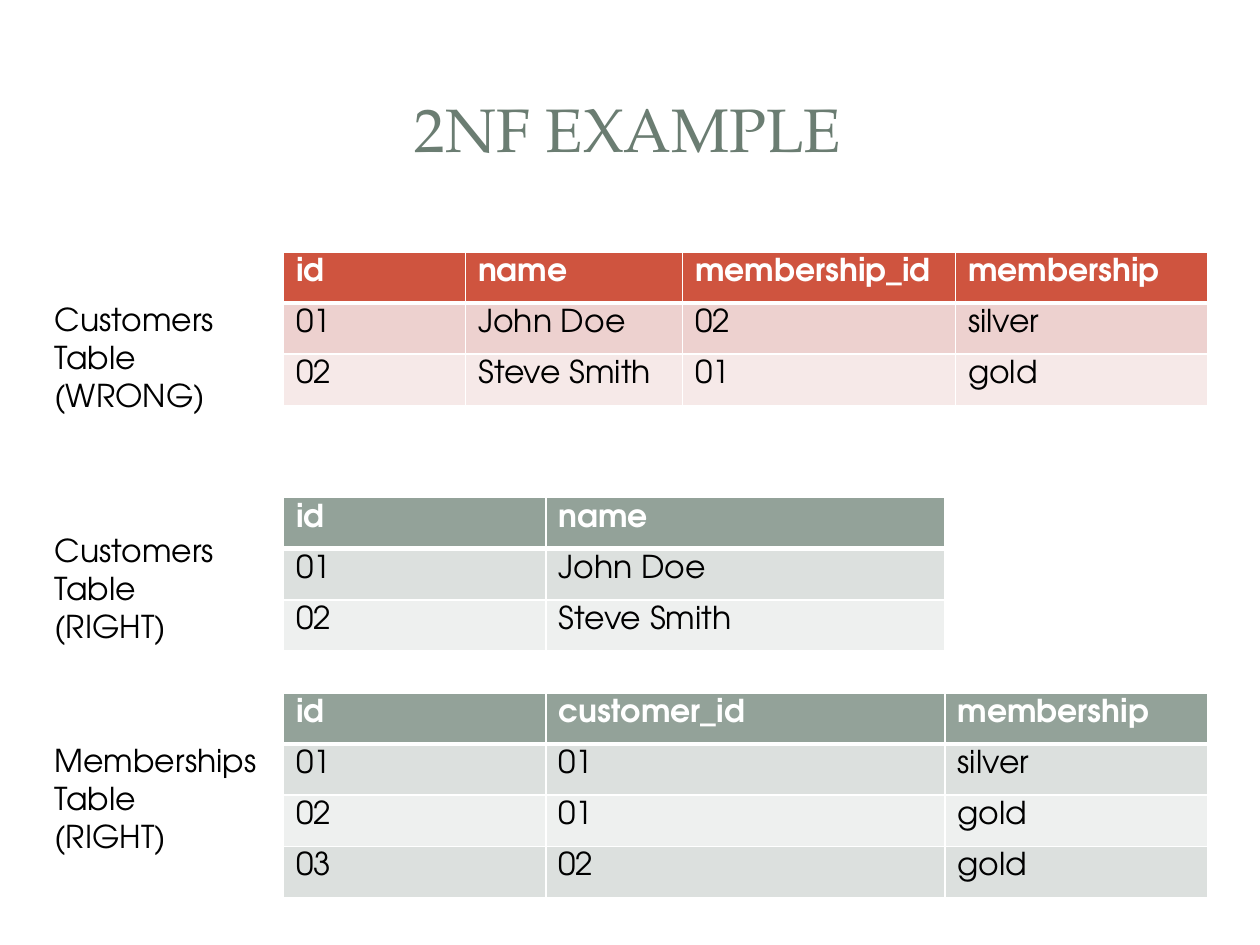
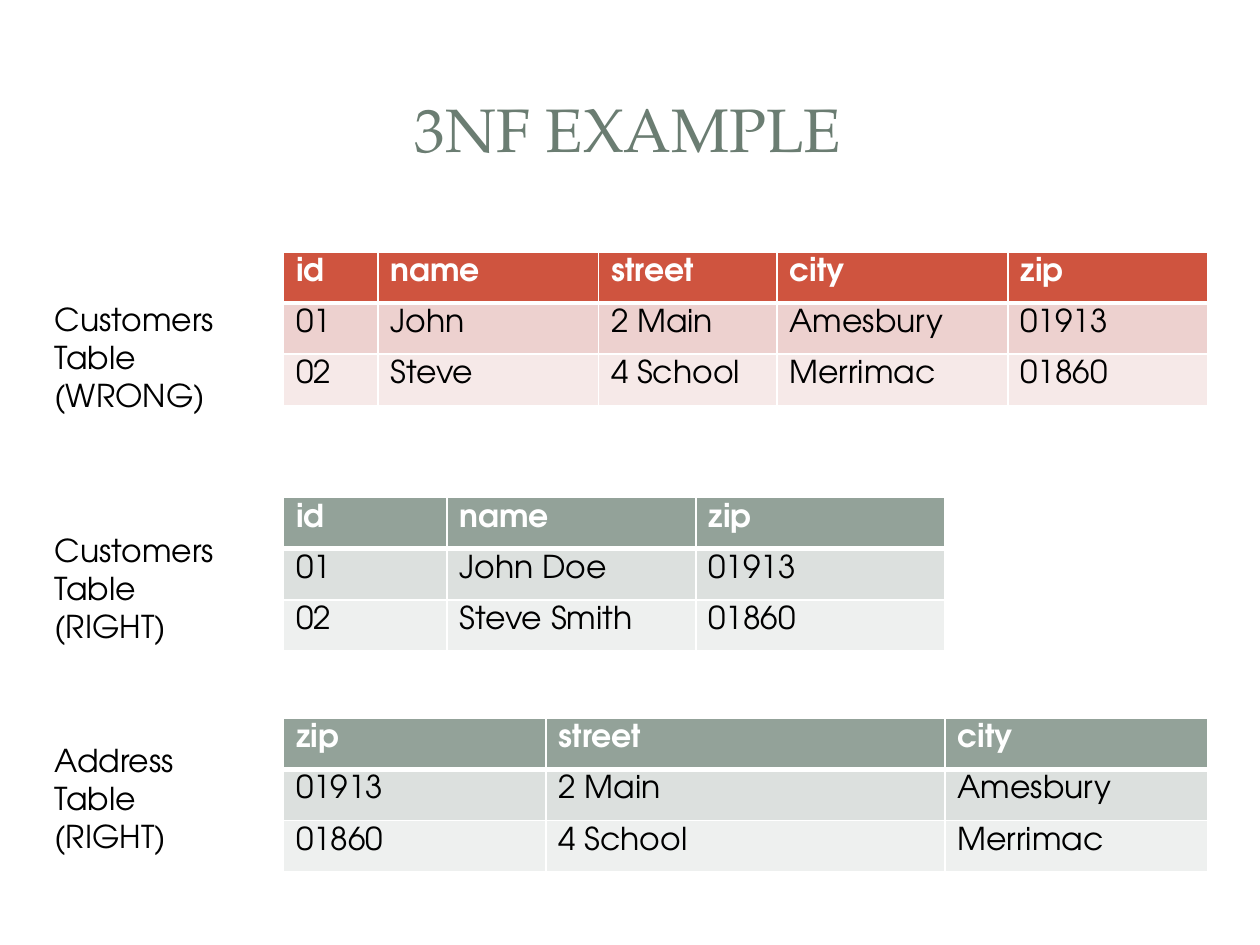
from dataclasses import dataclass

import lxml.etree
import pptx
import pptx.dml.color
import pptx.enum.shapes
import pptx.enum.text
import pptx.oxml.ns
import pptx.util

Pt = pptx.util.Pt
RGB = pptx.dml.color.RGBColor.from_string
SHAPE = pptx.enum.shapes.MSO_SHAPE
qn = pptx.oxml.ns.qn


@dataclass(frozen=True)
class Theme:
    title_font: str = "TeX Gyre Pagella"
    body_font: str = "TeX Gyre Adventor"
    title_size: int = 35
    body_size: int = 18
    title: str = "6B7D72"
    text: str = "000000"
    white: str = "FFFFFF"
    # header fill, then the two alternating row fills
    wrong: tuple = ("CF543F", "EDD1CF", "F6E9E8")
    right: tuple = ("93A299", "DCE0DE", "EEF0EF")
    grid_line: int = 1
    header_line: int = 3


THEME = Theme()

SLIDES = [
    {"title": "2NF EXAMPLE", "tables": [
        {"label": ["Customers Table (WRONG)"], "fills": THEME.wrong,
         "top": 144, "cols": [104, 124, 156, 144],
         "rows": [["id", "name", "membership_id", "membership"],
                  ["01", "John Doe", "02", "silver"],
                  ["02", "Steve Smith", "01", "gold"]]},
        {"label": ["Customers Table (RIGHT)"], "fills": THEME.right,
         "top": 284.4, "cols": [150, 228],
         "rows": [["id", "name"],
                  ["01", "John Doe"],
                  ["02", "Steve Smith"]]},
        {"label": ["Memberships Table", "(RIGHT)"], "fills": THEME.right,
         "top": 396, "cols": [150, 228, 150],
         "rows": [["id", "customer_id", "membership"],
                  ["01", "01", "silver"],
                  ["02", "01", "gold"],
                  ["03", "02", "gold"]]},
    ]},
    {"title": "3NF EXAMPLE", "tables": [
        {"label": ["Customers Table (WRONG)"], "fills": THEME.wrong,
         "top": 144, "cols": [54, 126, 102, 132, 114],
         "rows": [["id", "name", "street", "city", "zip"],
                  ["01", "John", "2 Main", "Amesbury", "01913"],
                  ["02", "Steve", "4 School", "Merrimac", "01860"]]},
        {"label": ["Customers Table (RIGHT)"], "fills": THEME.right,
         "top": 284.4, "cols": [93.4, 142.3, 142.3],
         "rows": [["id", "name", "zip"],
                  ["01", "John Doe", "01913"],
                  ["02", "Steve Smith", "01860"]]},
        {"label": ["Address Table", "(RIGHT)"], "fills": THEME.right,
         "top": 410.4, "cols": [150, 228, 150],
         "rows": [["zip", "street", "city"],
                  ["01913", "2 Main", "Amesbury"],
                  ["01860", "4 School", "Merrimac"]]},
    ]},
]

# shape, (left, top, width, height), opacity in percent
MASTER_PANELS = [
    (SHAPE.ROUNDED_RECTANGLE, (7.2, 7.9, 705.6, 524.9), 100),
    (SHAPE.RECTANGLE, (21.6, 21.6, 676.8, 104.4), 83),
    (SHAPE.RECTANGLE, (29.5, 29.5, 660.2, 87.8), 100),
]
PANEL_ROUNDING = 0.017
TITLE_BOX = (34, 32.4, 650, 82)
TABLE_LEFT, ROW_HEIGHT = 162, 29.2
LABEL_LEFT, LABEL_HEIGHT = 24, 72.7
LABEL_SLOTS = [(168, 120), (300, 120), (420, 132)]  # top, width


def add_master_panels(prs, s):
    """Build the panels on a slide, then move them to the back of the master."""
    tree = prs.slide_master.shapes._spTree
    for i, (kind, box, opacity) in enumerate(MASTER_PANELS):
        sp = s.shapes.add_shape(kind, *map(Pt, box))
        sp.shadow.inherit = False
        sp.line.fill.background()
        sp.fill.solid()
        sp.fill.fore_color.rgb = RGB(THEME.white)
        if kind == SHAPE.ROUNDED_RECTANGLE:
            sp.adjustments[0] = PANEL_ROUNDING
        if opacity < 100:
            color = sp._element.spPr.find(".//" + qn("a:srgbClr"))
            lxml.etree.SubElement(color, qn("a:alpha"), val=str(opacity * 1000))
        sp._element.nvSpPr.cNvPr.set("id", str(100 + i))
        tree.insert(2 + i, sp._element)


def style(tf, font, size, color, bold=False):
    for p in tf.paragraphs:
        for r in p.runs:
            r.font.name, r.font.size = font, Pt(size)
            r.font.color.rgb, r.font.bold = RGB(color), bold


def add_title(s, text):
    sp = s.shapes.title
    sp.left, sp.top, sp.width, sp.height = map(Pt, TITLE_BOX)
    tf = sp.text_frame
    tf.text = text
    tf.auto_size = pptx.enum.text.MSO_AUTO_SIZE.NONE
    tf.vertical_anchor = pptx.enum.text.MSO_ANCHOR.MIDDLE
    tf.paragraphs[0].alignment = pptx.enum.text.PP_ALIGN.CENTER
    style(tf, THEME.title_font, THEME.title_size, THEME.title)


def add_label(s, lines, top, width):
    sp = s.shapes.add_textbox(Pt(LABEL_LEFT), Pt(top), Pt(width), Pt(LABEL_HEIGHT))
    tf = sp.text_frame
    tf.word_wrap = True
    tf.auto_size = pptx.enum.text.MSO_AUTO_SIZE.SHAPE_TO_FIT_TEXT
    tf.text = "\n".join(lines)
    style(tf, THEME.body_font, THEME.body_size, THEME.text)


def set_borders(cell, top, bottom):
    tcPr = cell._tc.get_or_add_tcPr()
    widths = {"lnL": THEME.grid_line, "lnR": THEME.grid_line, "lnT": top, "lnB": bottom}
    for side, width in widths.items():
        ln = lxml.etree.SubElement(tcPr, qn("a:" + side), w=str(Pt(width)))
        fill = lxml.etree.SubElement(ln, qn("a:solidFill"))
        lxml.etree.SubElement(fill, qn("a:srgbClr"), val=THEME.white)


def add_grid(s, rows, cols, top, fills):
    header_fill, *bands = fills
    table = s.shapes.add_table(len(rows), len(cols), Pt(TABLE_LEFT), Pt(top),
                               Pt(sum(cols)), Pt(ROW_HEIGHT * len(rows))).table
    for column, width in zip(table.columns, cols):
        column.width = Pt(width)
    for i, row in enumerate(rows):
        table.rows[i].height = Pt(ROW_HEIGHT)
        header = i == 0
        for j, text in enumerate(row):
            cell = table.cell(i, j)
            cell.text = text
            set_borders(cell,
                        top=THEME.header_line if i == 1 else THEME.grid_line,
                        bottom=THEME.header_line if header else THEME.grid_line)
            cell.fill.solid()
            cell.fill.fore_color.rgb = RGB(header_fill if header else bands[(i - 1) % 2])
            style(cell.text_frame, THEME.body_font, THEME.body_size,
                  THEME.white if header else THEME.text, bold=header)


def main():
    prs = pptx.Presentation()
    prs.slide_width, prs.slide_height = Pt(720), Pt(540)
    title_only = prs.slide_layouts[5]
    for content in SLIDES:
        s = prs.slides.add_slide(title_only)
        add_title(s, content["title"])
        for t in content["tables"]:
            add_grid(s, t["rows"], t["cols"], t["top"], t["fills"])
        for t, (top, width) in zip(content["tables"], LABEL_SLOTS):
            add_label(s, t["label"], top, width)
    add_master_panels(prs, prs.slides[0])
    prs.save("out.pptx")


if __name__ == "__main__":
    main()
